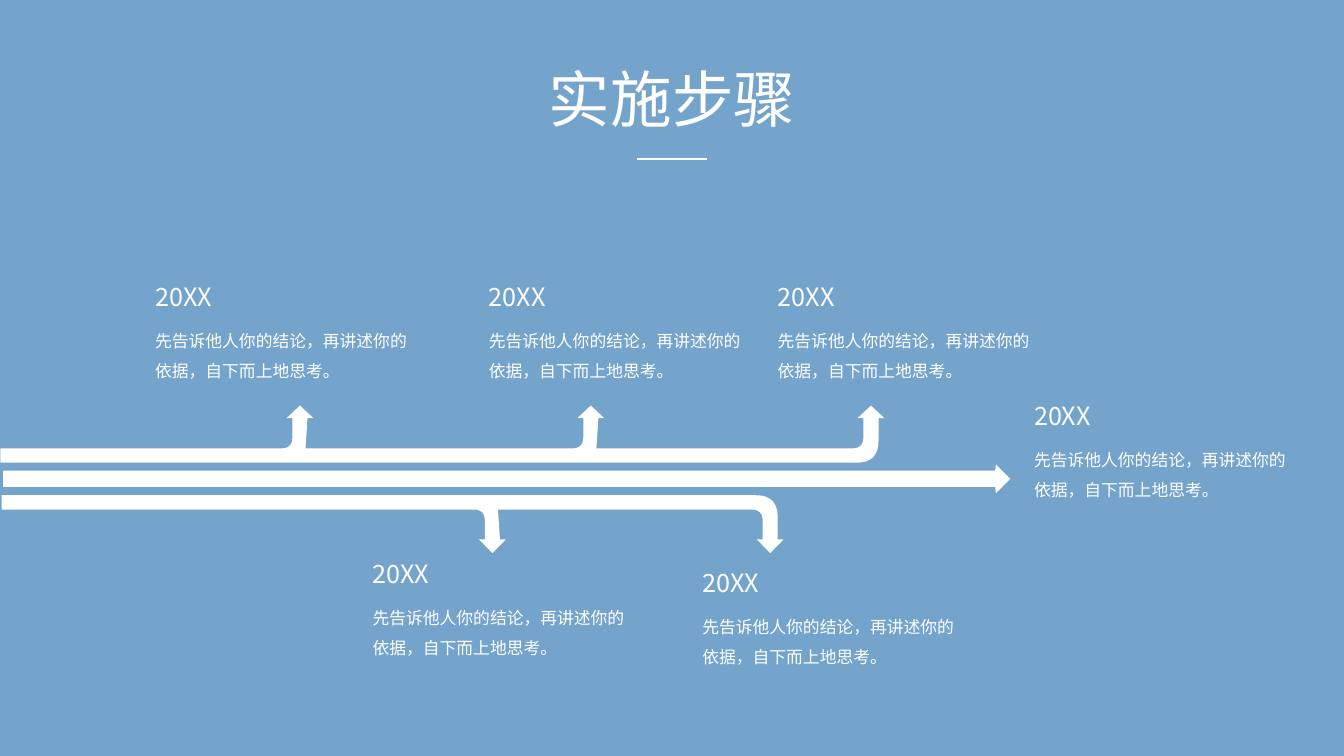
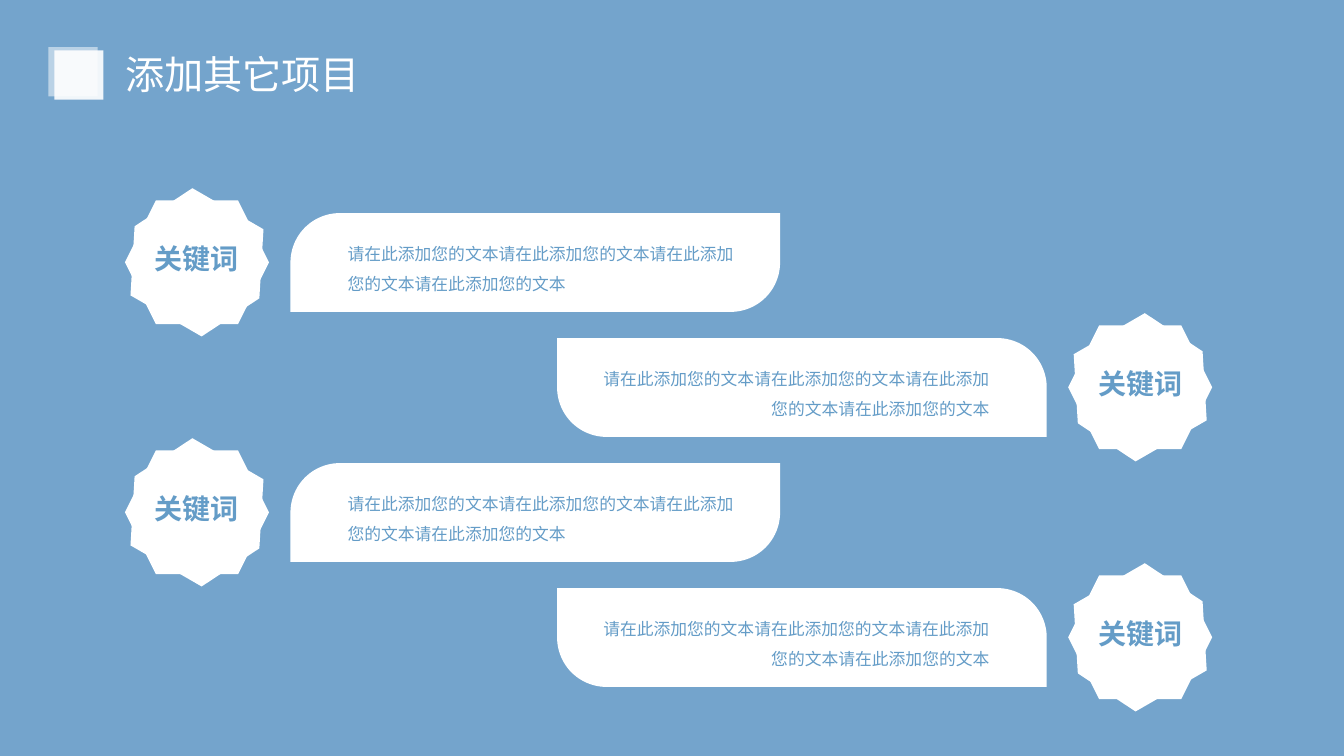
import lxml.etree
import pptx
import pptx.dml.color
import pptx.enum.shapes
import pptx.enum.text
import pptx.oxml.ns
import pptx.util

Cm, Pt = pptx.util.Cm, pptx.util.Pt
SHAPE = pptx.enum.shapes.MSO_SHAPE
ALIGN = pptx.enum.text.PP_ALIGN
qn = pptx.oxml.ns.qn

# Shared look
BLUE, WHITE, TEXT_BLUE = "74A4CC", "FFFFFF", "649CC7"
FONT = "Noto Sans CJK JP"
TITLE_ONLY = 5

# Content of the steps slide, lengths in cm
STEPS_TITLE = "实施步骤"
STEP_YEAR = "20XX"
STEP_BODY = "先告诉他人你的结论，再讲述你的依据，自下而上地思考。"
STEP_PLACES = [(25.81, 9.96), (19.35, 6.96), (12.07, 6.96), (3.66, 6.96),
               (9.14, 13.94), (17.45, 14.17)]
MIDDLE_ARROW = [(0.08, 11.86), (25.08, 11.86), (25.1, 11.71), (25.46, 12.07),
                (25.1, 12.43), (25.08, 12.27), (0.08, 12.27)]
BRANCHING_TRACKS = [
    dict(left=0.01, far=11.66, near=11.3, head=10.54, tip=10.22,
         branches=[7.56, 14.89, 21.95]),
    dict(left=0.04, far=12.48, near=12.84, head=13.59, tip=13.94,
         branches=[12.41, 19.41]),
]
HALF_STEM, HALF_HEAD, INNER_BEND, OUTER_BEND = 0.19, 0.34, 0.28, 0.55

# Content of the keywords slide
KEYWORDS_TITLE = "添加其它项目"
KEYWORD_ROWS = [("关键词", "请在此添加您的文本" * 4)] * 4
FIRST_ROW, ROW_STEP = 5.05, 3.15
MIRROR_WIDTH = 33.7
TITLE_SQUARES = [(1.37, 1.27, 90), (1.22, 1.19, 51)]


def color(hex_code):
    return pptx.dml.color.RGBColor.from_string(hex_code)


def box(left, top, width, height):
    return Cm(left), Cm(top), Cm(width), Cm(height)


def write(holder, text, size, hex_code, align=ALIGN.LEFT, bold=False, spacing=None):
    frame = holder.text_frame
    frame.word_wrap = True
    frame.auto_size = pptx.enum.text.MSO_AUTO_SIZE.NONE
    frame.vertical_anchor = pptx.enum.text.MSO_ANCHOR.TOP
    paragraph = frame.paragraphs[0]
    paragraph.alignment = align
    if spacing:
        paragraph.line_spacing = spacing
    run = paragraph.add_run()
    run.text = text
    run.font.size, run.font.bold, run.font.name = Pt(size), bold, FONT
    run.font.color.rgb = color(hex_code)
    for latin in list(holder.element.iter(qn("a:latin"))):
        east_asian = lxml.etree.Element(qn("a:ea"), typeface=FONT)
        latin.addnext(east_asian)


def add_text(slide, place, *args, **style):
    write(slide.shapes.add_textbox(*box(*place)), *args, **style)


def add_title(slide, text, place, size, align=ALIGN.LEFT):
    title = slide.shapes.title
    title.left, title.top, title.width, title.height = box(*place)
    write(title, text, size, WHITE, align)


def paint_white(shape, opacity=100):
    shape.shadow.inherit = False
    shape.fill.solid()
    shape.fill.fore_color.rgb = color(WHITE)
    shape.line.fill.background()
    if opacity < 100:
        fill_color = next(shape.element.iter(qn("a:srgbClr")))
        lxml.etree.SubElement(fill_color, qn("a:alpha"), val=str(opacity * 1000))


def add_white_shape(slide, kind, place, opacity=100):
    shape = slide.shapes.add_shape(kind, *box(*place))
    paint_white(shape, opacity)
    return shape


def add_outline(slide, points):
    corners = [(Cm(x), Cm(y)) for x, y in points]
    builder = slide.shapes.build_freeform(*corners[0], scale=1.0)
    builder.add_line_segments(corners[1:], close=True)
    paint_white(builder.convert_to_shape())


def bend(start, corner, end, steps=8):
    """Points of a curve from start to end, pulled towards corner."""
    return [tuple((1 - t) ** 2 * a + 2 * t * (1 - t) * b + t * t * c
                  for a, b, c in zip(start, corner, end))
            for t in (i / steps for i in range(steps + 1))]


def track_outline(left, far, near, head, tip, branches):
    side = 1 if near > far else -1
    points = [(left, far), (left, near)]
    for x in branches:
        stem_left, stem_right = x - HALF_STEM, x + HALF_STEM
        points += bend((stem_left - INNER_BEND, near), (stem_left, near),
                       (stem_left, near + side * INNER_BEND))
        points += [(stem_left, head), (x - HALF_HEAD, head), (x, tip),
                   (x + HALF_HEAD, head), (stem_right, head)]
        if x == branches[-1]:
            points += bend((stem_right, far + side * OUTER_BEND), (stem_right, far),
                           (stem_right - OUTER_BEND, far))
        else:
            points.append((stem_right - 0.05, near))
    return points


def build_steps(slide):
    add_title(slide, STEPS_TITLE, (11.15, 1.42, 11.58, 2.13), 44, ALIGN.CENTER)
    rule = slide.shapes.add_connector(pptx.enum.shapes.MSO_CONNECTOR.STRAIGHT,
                                      Cm(16.05), Cm(4.01), Cm(17.81), Cm(4.01))
    rule.line.color.rgb, rule.line.width = color(WHITE), Pt(1.5)
    properties = rule.element.find(qn("p:spPr"))
    lxml.etree.SubElement(properties, qn("a:effectLst"))

    # Arrows
    add_outline(slide, MIDDLE_ARROW)
    for track in BRANCHING_TRACKS:
        add_outline(slide, track_outline(**track))

    # Year and description of each step
    for left, top in STEP_PLACES:
        add_text(slide, (left, top + 0.99, 7.24, 1.73), STEP_BODY, 12, WHITE, spacing=1.5)
        add_text(slide, (left, top, 5.26, 1.02), STEP_YEAR, 18, WHITE)


def build_keywords(slide):
    add_title(slide, KEYWORDS_TITLE, (2.9, 1.14, 6.73, 1.45), 28)
    for left, top, opacity in TITLE_SQUARES:
        add_white_shape(slide, SHAPE.RECTANGLE, (left, top, 1.24, 1.24), opacity)

    # Rows alternate between the left side and its mirror image
    for index, (keyword, description) in enumerate(KEYWORD_ROWS):
        mirrored = index % 2 == 1
        top = FIRST_ROW + index * ROW_STEP

        def place(left, offset, width, height):
            x = MIRROR_WIDTH - left - width if mirrored else left
            return x, top + offset, width, height

        for angle in (0, -30 if mirrored else 30):
            badge = add_white_shape(slide, SHAPE.HEXAGON, place(3.15, 0, 3.63, 3.12))
            badge.rotation = angle
        leaf = add_white_shape(slide, SHAPE.ROUND_2_DIAG_RECTANGLE,
                               place(7.32, 0.32, 12.34, 2.49))
        leaf.adjustments[0], leaf.adjustments[1] = (0, 0.5) if mirrored else (0.5, 0)
        add_text(slide, place(3.6, 0.92, 2.7, 1.12), keyword, 20, TEXT_BLUE,
                 align=ALIGN.CENTER, bold=True)
        add_text(slide, place(8.51, 0.71, 10.49, 1.73), description, 12, TEXT_BLUE,
                 align=ALIGN.RIGHT if mirrored else ALIGN.LEFT, spacing=1.5)


def main():
    deck = pptx.Presentation()
    deck.slide_width, deck.slide_height = Cm(33.87), Cm(19.05)
    background = deck.slide_master.background.fill
    background.solid()
    background.fore_color.rgb = color(BLUE)
    for build in (build_steps, build_keywords):
        build(deck.slides.add_slide(deck.slide_layouts[TITLE_ONLY]))
    deck.save("out.pptx")


if __name__ == "__main__":
    main()
